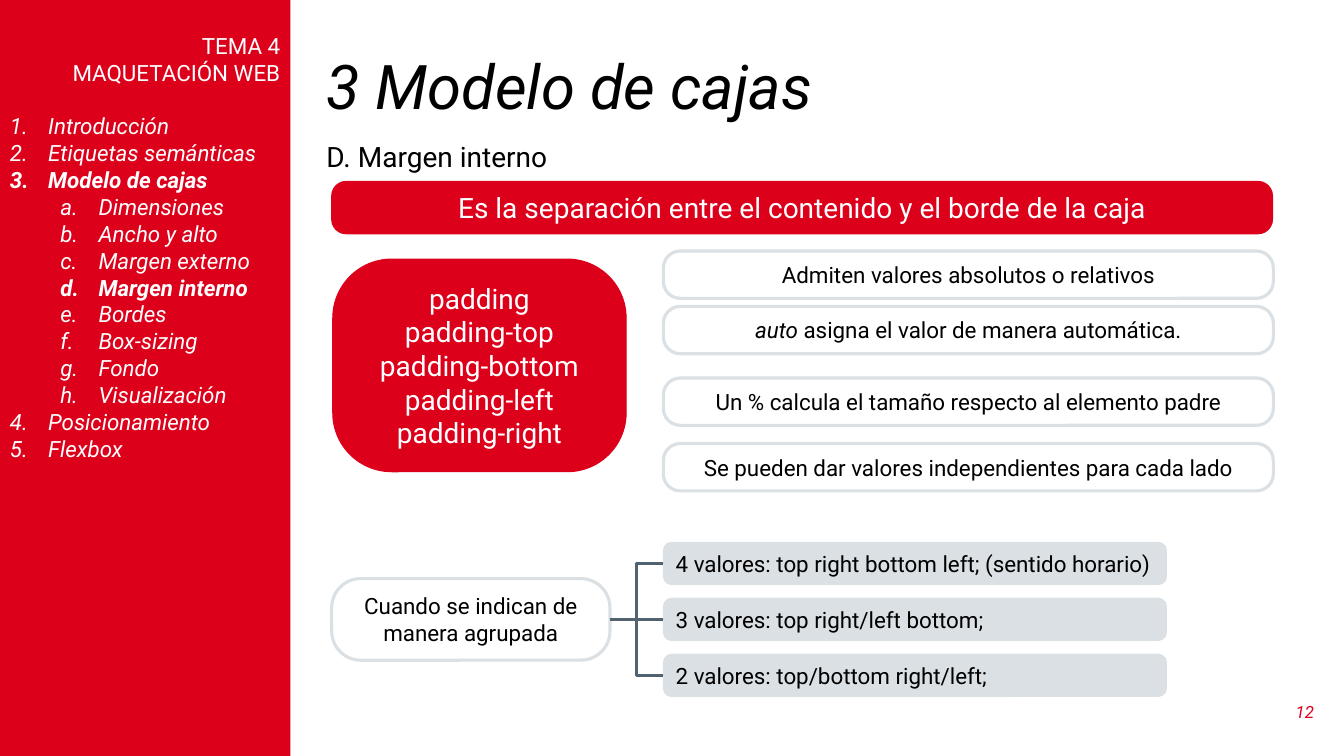
import lxml.etree
import pptx
import pptx.dml.color
import pptx.enum.shapes
import pptx.enum.text
import pptx.oxml.ns
import pptx.util

RED = pptx.dml.color.RGBColor(0xDC, 0x00, 0x1B)
GREY = pptx.dml.color.RGBColor(0xDA, 0xE0, 0xE4)
SLATE = pptx.dml.color.RGBColor(0x51, 0x62, 0x70)
BLACK = pptx.dml.color.RGBColor(0, 0, 0)
WHITE = pptx.dml.color.RGBColor(255, 255, 255)

ALIGN = pptx.enum.text.PP_ALIGN
ANCHOR = pptx.enum.text.MSO_ANCHOR
SHAPE = pptx.enum.shapes.MSO_SHAPE

TOPICS = [
    (0, "Introducción"), (0, "Etiquetas semánticas"), (0, "Modelo de cajas"),
    (1, "Dimensiones"), (1, "Ancho y alto"), (1, "Margen externo"),
    (1, "Margen interno"), (1, "Bordes"), (1, "Box-sizing"), (1, "Fondo"),
    (1, "Visualización"), (0, "Posicionamiento"), (0, "Flexbox"),
]
ACTIVE = ("Modelo de cajas", "Margen interno")
FACTS = [
    (33.2, "Admiten valores absolutos o relativos"),
    (40.53, ("auto", " asigna el valor de manera automática.")),
    (50, "Un % calcula el tamaño respecto al elemento padre"),
    (58.67, "Se pueden dar valores independientes para cada lado"),
]
VALUES = [
    "4 valores: top right bottom left; (sentido horario)",
    "3 valores: top right/left bottom;",
    "2 valores: top/bottom right/left;",
]
SIDES = ["padding", "padding-top", "padding-bottom", "padding-left", "padding-right"]

LEFT, MID = 24.68, 49.36


def write(frame, *lines, size=16, color=BLACK, align=ALIGN.LEFT,
          anchor=ANCHOR.MIDDLE, bold=False, italic=False):
    """Append paragraphs; in a line given as a pair, the first part is italic."""
    frame.word_wrap = True
    frame.vertical_anchor = anchor
    for line in lines:
        para = frame.paragraphs[-1]
        if para.runs:
            para = frame.add_paragraph()
        para.alignment = align
        pair = isinstance(line, tuple)
        for index, part in enumerate(line if pair else [line]):
            run = para.add_run()
            run.text = part
            font = run.font
            font.name, font.size = "Roboto", pptx.util.Pt(size)
            font.color.rgb = color
            font.bold = bold
            font.italic = index == 0 if pair else italic
    return para


def number(para, level):
    """Give a paragraph automatic numbering: 1. or, one level down, a."""
    para.level = level
    props = para._p.get_or_add_pPr()
    props.set("marL", str(pptx.util.Inches(0.38 + 0.5 * level)))
    props.set("indent", str(pptx.util.Inches(-0.38)))
    mark = lxml.etree.SubElement(props, pptx.oxml.ns.qn("a:buAutoNum"))
    mark.set("type", ("arabicPeriod", "alphaLcPeriod")[level])


class Page:
    """One slide; places are percentages of its width and height."""

    def __init__(self, deck):
        self.wide, self.high = deck.slide_width, deck.slide_height
        self.slide = deck.slides.add_slide(deck.slide_layouts[5])
        self.shapes = self.slide.shapes

    def place(self, x, y, w, h):
        return [round(share * full / 100) for share, full in
                zip((x, y, w, h), (self.wide, self.high) * 2)]

    def title(self, text, *area):
        head = self.shapes.title
        head.left, head.top, head.width, head.height = self.place(*area)
        head.text_frame.auto_size = pptx.enum.text.MSO_AUTO_SIZE.NONE
        write(head.text_frame, text, size=44, italic=True).line_spacing = 0.9

    def label(self, text, *area, **look):
        box = self.shapes.add_textbox(*self.place(*area))
        write(box.text_frame, text, **look)

    def box(self, lines, *area, fill=None, edge=GREY, weight=2.25,
            curve=0.357, kind=SHAPE.ROUNDED_RECTANGLE, **look):
        box = self.shapes.add_shape(kind, *self.place(*area))
        box.shadow.inherit = False
        if curve is not None:
            box.adjustments[0] = curve
        if fill is None:
            box.fill.background()
        else:
            box.fill.solid()
            box.fill.fore_color.rgb = fill
        if edge is None:
            box.line.fill.background()
        else:
            box.line.color.rgb = edge
            box.line.width = pptx.util.Pt(weight)
        if lines:
            write(box.text_frame, *lines, **look)
        return box

    def link(self, start, end):
        """Join the right side of one box to the left side of another."""
        line = self.shapes.add_connector(
            pptx.enum.shapes.MSO_CONNECTOR.ELBOW, 0, 0, 0, 0)
        line.begin_connect(start, 3)
        line.end_connect(end, 1)
        line.line.color.rgb = SLATE
        line.line.width = pptx.util.Pt(2.25)
        lxml.etree.SubElement(line._element.spPr, pptx.oxml.ns.qn("a:effectLst"))

    def menu(self):
        bar = self.box([], 0, 0, 21.6, 100, fill=RED, edge=None,
                       curve=None, kind=SHAPE.RECTANGLE)
        frame = bar.text_frame
        frame.margin_top = pptx.util.Inches(0.32)
        look = {"color": WHITE, "anchor": ANCHOR.TOP}
        write(frame, "TEMA 4", "MAQUETACIÓN WEB", align=ALIGN.RIGHT, **look)
        for index, (level, topic) in enumerate(TOPICS):
            para = write(frame, topic, italic=True, bold=topic in ACTIVE, **look)
            if index == 0:
                para.space_before = pptx.util.Pt(19)
            number(para, level)


def main():
    deck = pptx.Presentation()
    deck.slide_width = pptx.util.Inches(13.33)
    deck.slide_height = pptx.util.Inches(7.5)
    page = Page(deck)

    page.title("3 Modelo de cajas", 23.55, 6.67, 74.94, 10.4)
    page.menu()
    page.label("12", 94.67, 91.47, 3.83, 5.33, size=12, color=RED,
               italic=True, align=ALIGN.RIGHT)
    page.label("D. Margen interno", 23.55, 17.73, 55.96, 5.87, size=20)

    solid = {"fill": RED, "edge": RED, "weight": 0.75, "curve": 0.277,
             "size": 20, "color": WHITE, "align": ALIGN.CENTER}
    page.box(["Es la separación entre el contenido y el borde de la caja"],
             LEFT, 24, 70, 6.93, **solid)
    page.box(SIDES, LEFT + 0.08, 34.27, 21.83, 28.13, **solid)
    for top, fact in FACTS:
        page.box([fact], MID, top, 45.39, 6.27, align=ALIGN.CENTER)

    cause = page.box(["Cuando se indican de manera agrupada"],
                     LEFT, 76.53, 20.71, 10.8, align=ALIGN.CENTER)
    for row, value in enumerate(VALUES):
        case = page.box([value], MID, 71.73 + 7.4 * row, 37.43, 5.6,
                        fill=GREY, weight=0.75, curve=0.195)
        page.link(cause, case)

    deck.save("out.pptx")


if __name__ == "__main__":
    main()
